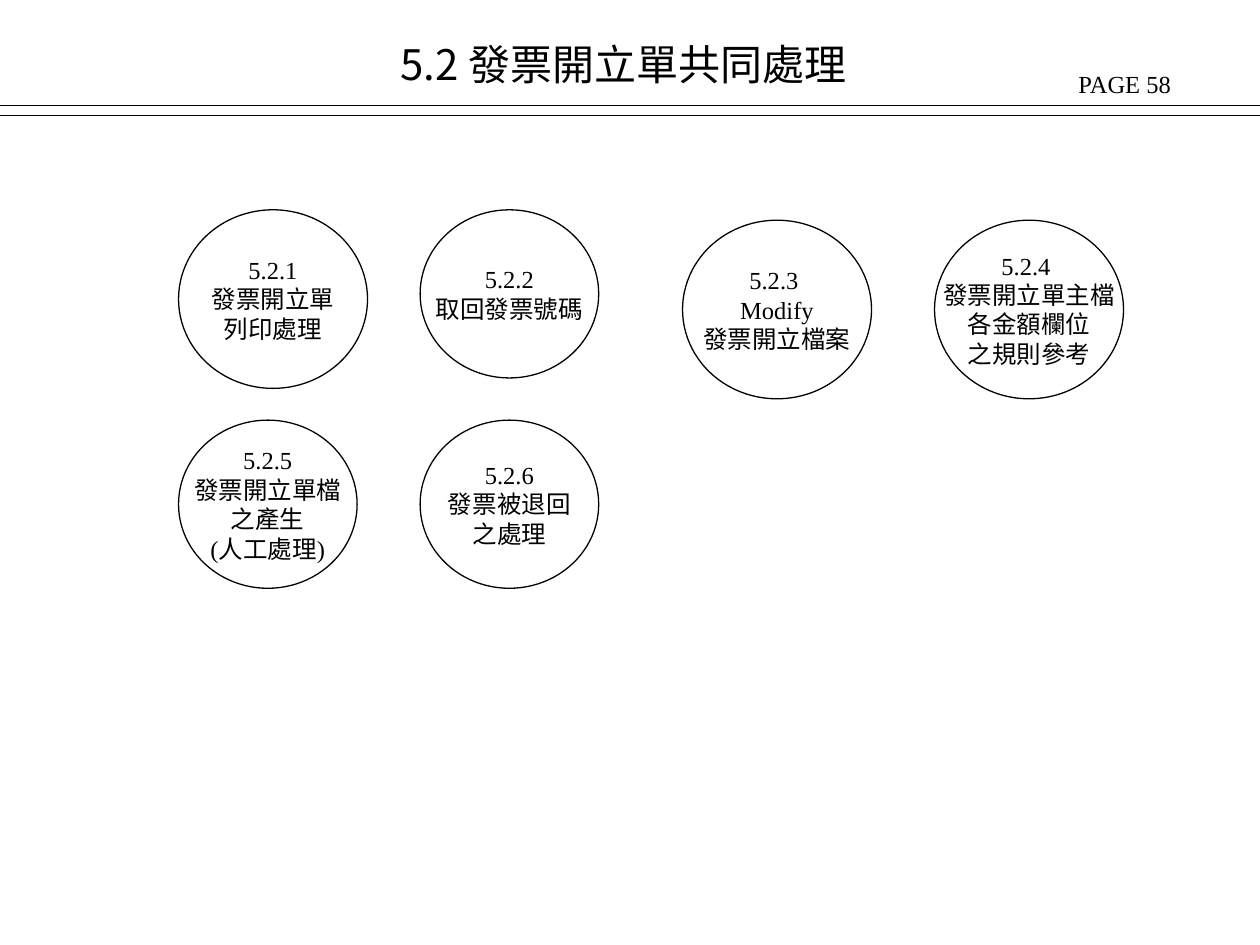
from dataclasses import dataclass

from lxml.etree import SubElement
from pptx import Presentation
from pptx.dml.color import RGBColor
from pptx.enum.shapes import MSO_CONNECTOR, MSO_SHAPE
from pptx.enum.text import MSO_ANCHOR, PP_ALIGN
from pptx.oxml.ns import qn
from pptx.util import Cm, Pt


@dataclass(frozen=True)
class Theme:
    ink: RGBColor = RGBColor(0, 0, 0)
    latin: str = "Times New Roman"
    asian: str = "Noto Sans CJK TC"
    head: int = 24
    body: int = 14
    rule: float = 0.75


class Page:
    def __init__(self, slide, theme):
        self.slide = slide
        self.theme = theme

    def add_lines(self, frame, lines, size, latin, align=PP_ALIGN.LEFT):
        """Put one paragraph per line, with a Latin and an East Asian font."""
        for i, line in enumerate(lines):
            para = frame.paragraphs[0] if i == 0 else frame.add_paragraph()
            para.alignment = align
            run = para.add_run()
            run.text = line
            font = run.font
            font.size = Pt(size)
            font.color.rgb = self.theme.ink
            font.name = latin
            SubElement(run._r.get_or_add_rPr(), qn("a:ea"),
                       typeface=self.theme.asian)

    def title(self, text, x, y, w, h):
        shape = self.slide.shapes.title
        shape.left, shape.top = Cm(x), Cm(y)
        shape.width, shape.height = Cm(w), Cm(h)
        shape.text_frame.vertical_anchor = MSO_ANCHOR.MIDDLE
        self.add_lines(shape.text_frame, [text], self.theme.head,
                       self.theme.asian)

    def label(self, text, x, y, w, h):
        box = self.slide.shapes.add_textbox(Cm(x), Cm(y), Cm(w), Cm(h))
        box.text_frame.word_wrap = True
        self.add_lines(box.text_frame, [text], self.theme.body,
                       self.theme.latin)

    def rule(self, y, width):
        line = self.slide.shapes.add_connector(
            MSO_CONNECTOR.STRAIGHT, 0, Cm(y), Cm(width), Cm(y))
        line.line.color.rgb = self.theme.ink
        line.line.width = Pt(self.theme.rule)
        SubElement(line._element.spPr, qn("a:effectLst"))

    def bubble(self, lines, x, y, w, h):
        shape = self.slide.shapes.add_shape(
            MSO_SHAPE.OVAL, Cm(x), Cm(y), Cm(w), Cm(h))
        shape.shadow.inherit = False
        shape.fill.background()
        shape.line.color.rgb = self.theme.ink
        shape.line.width = Pt(self.theme.rule)
        frame = shape.text_frame
        frame.word_wrap = False
        frame.vertical_anchor = MSO_ANCHOR.MIDDLE
        self.add_lines(frame, lines, self.theme.body, self.theme.latin,
                       PP_ALIGN.CENTER)


WIDTH, HEIGHT = 25.4, 19.05
LARGE, SMALL = (3.81, 3.6), (3.6, 3.39)
COLS = (3.6, 8.47, 13.76, 18.84)
TOP, LOWER, BOTTOM = 4.23, 4.44, 8.47

STEPS = [
    (COLS[0], TOP, LARGE, ["5.2.1", "發票開立單", "列印處理"]),
    (COLS[1], TOP, SMALL, ["5.2.2", "取回發票號碼"]),
    (COLS[2], LOWER, LARGE, ["5.2.3 ", "Modify", "發票開立檔案"]),
    (COLS[3], LOWER, LARGE,
     ["5.2.4 ", "發票開立單主檔", "各金額欄位", "之規則參考"]),
    (COLS[0], BOTTOM, SMALL,
     ["5.2.5", "發票開立單檔", "之產生", "(人工處理)"]),
    (COLS[1], BOTTOM, SMALL, ["5.2.6", "發票被退回", "之處理"]),
]


def main():
    deck = Presentation()
    deck.slide_width, deck.slide_height = Cm(WIDTH), Cm(HEIGHT)
    page = Page(deck.slides.add_slide(deck.slide_layouts[5]), Theme())
    page.label("PAGE 58", 21.49, 1.27, 3.9, 0.86)
    page.title("5.2 發票開立單共同處理", 7.82, 0.64, 10.8, 1.27)
    for y in (2.12, 2.33):
        page.rule(y, WIDTH)
    for x, y, size, lines in STEPS:
        page.bubble(lines, x, y, *size)
    deck.save("out.pptx")


if __name__ == "__main__":
    main()
